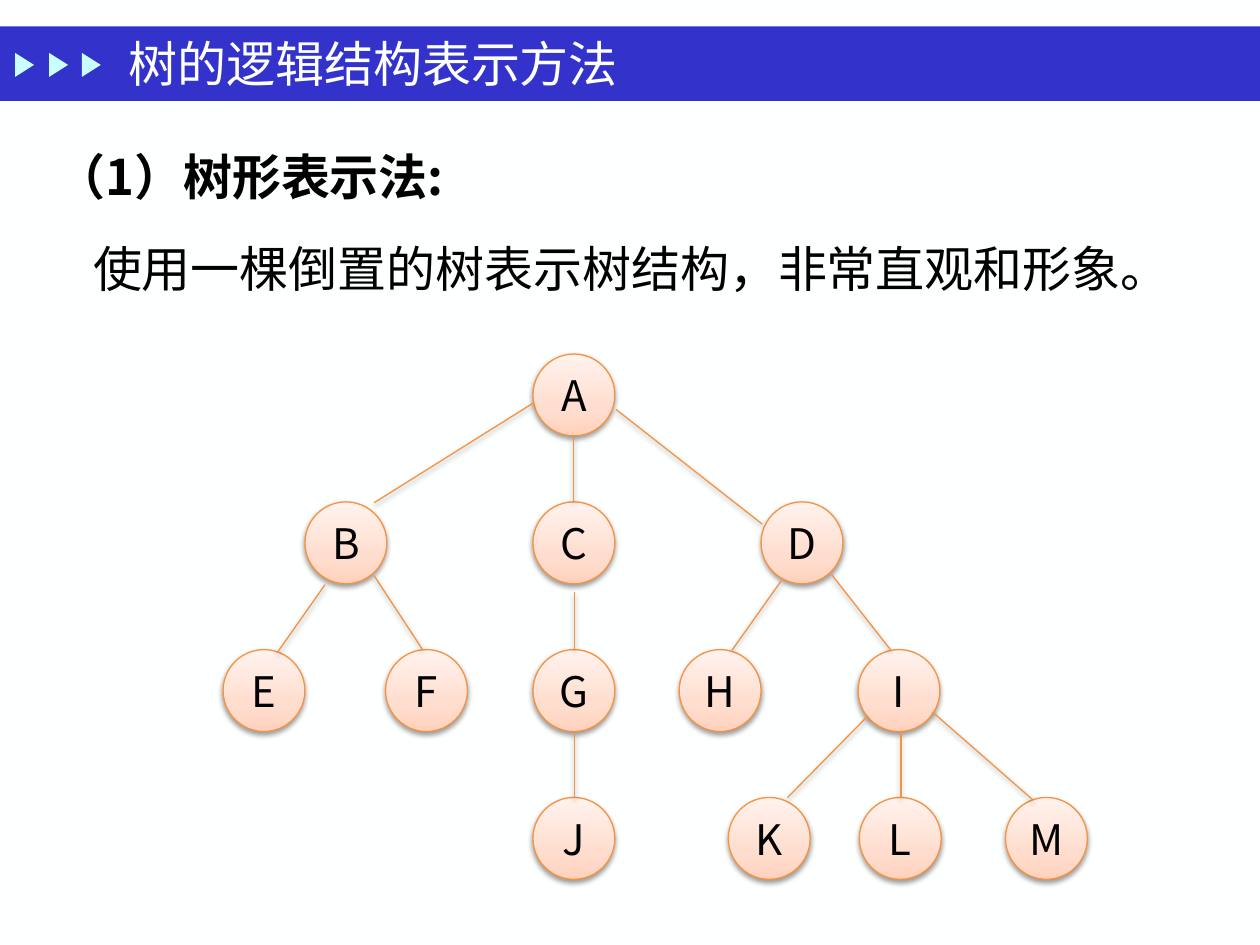
from copy import deepcopy

from lxml import etree
from pptx import Presentation
from pptx import util as u
from pptx.dml.color import RGBColor
from pptx.enum import shapes, text
from pptx.oxml import ns

COLORS = {
    "page": "FEFFFF", "bar": "3333CC", "arrow": "CBFFFF", "ink": "000000",
    "line": "F69240", "deep": "FFD2BD", "mid": "FFDED0", "pale": "FFF2ED",
}
FONT = "Noto Sans CJK SC"


def add_span(para, words, size, color, font=FONT, bold=False):
    span = para.add_run()
    span.text = words
    span.font.size = u.Pt(size)
    span.font.bold = bold
    span.font.name = font
    span.font.color.rgb = RGBColor.from_string(COLORS[color])
    east = etree.SubElement(span.font._element, ns.qn("a:ea"))
    east.set("typeface", FONT)


def outline_and_shadow(item):
    item.line.color.rgb = RGBColor.from_string(COLORS["line"])
    item.line.width = u.Pt(0.75)
    item.element.spPr.append(etree.fromstring(
        f'<a:effectLst {ns.nsdecls("a")}>'
        '<a:outerShdw blurRad="39370" dist="20320" dir="5400000" rotWithShape="0">'
        '<a:srgbClr val="000000"><a:alpha val="38000"/></a:srgbClr>'
        '</a:outerShdw></a:effectLst>'))


deck = Presentation()
deck.slide_width, deck.slide_height = u.Inches(10), u.Inches(7.5)
page = deck.slides.add_slide(deck.slide_layouts[5])
page.background.fill.solid()
page.background.fill.fore_color.rgb = RGBColor.from_string(COLORS["page"])

# Title bar with three arrowheads
bar = page.shapes.add_shape(shapes.MSO_SHAPE.RECTANGLE, 0, u.Inches(0.21),
                            u.Inches(10), u.Inches(0.59))
arrows = [page.shapes.add_shape(shapes.MSO_SHAPE.ISOSCELES_TRIANGLE, u.Inches(left),
                                u.Inches(0.44), u.Inches(0.19), u.Inches(0.15))
          for left in (0.1, 0.37, 0.63)]
for arrow in arrows:
    arrow.rotation = 90
for box, color in [(bar, "bar")] + [(arrow, "arrow") for arrow in arrows]:
    box.fill.solid()
    box.fill.fore_color.rgb = RGBColor.from_string(COLORS[color])
    box.line.fill.background()
    box.shadow.inherit = False

# Title, brought in front of the bar
title = page.shapes.title
title.element.getparent().append(title.element)
title.left, title.top = u.Inches(0.92), u.Inches(0.21)
title.width, title.height = u.Inches(7), u.Inches(0.58)
title.text_frame.auto_size = text.MSO_AUTO_SIZE.NONE
title.text_frame.vertical_anchor = text.MSO_ANCHOR.MIDDLE
para = title.text_frame.paragraphs[0]
para.alignment = text.PP_ALIGN.LEFT
add_span(para, "树的逻辑结构表示方法", 28, "page", font="Times New Roman")

# Heading
box = page.shapes.add_textbox(u.Inches(0.35), u.Inches(1.07), u.Inches(9.37), u.Inches(0.58))
box.text_frame.word_wrap = True
para = box.text_frame.paragraphs[0]
para.alignment = text.PP_ALIGN.JUSTIFY
para.line_spacing = 1.1
para.space_before = u.Pt(14)
add_span(para, "（1）树形表示法:", 28, "ink", bold=True)

# Tree nodes: name -> left edge, level
SIZE = 0.65
NODES = {
    "A": (4.23, 0),
    "B": (2.42, 1), "C": (4.23, 1), "D": (6.04, 1),
    "E": (1.77, 2), "F": (3.06, 2), "G": (4.23, 2), "H": (5.39, 2), "I": (6.81, 2),
    "J": (4.23, 3), "K": (5.78, 3), "L": (6.82, 3), "M": (7.98, 3),
}
tree = page.shapes.add_group_shape()
for name, (left, level) in NODES.items():
    node = tree.shapes.add_shape(shapes.MSO_SHAPE.OVAL, u.Inches(left),
                                 u.Inches(2.81 + 1.173 * level),
                                 u.Inches(SIZE), u.Inches(SIZE))
    node.fill.gradient()
    node.fill.gradient_angle = 90
    first = node.fill.gradient_stops[0]._gs
    first.addnext(deepcopy(first))
    for stop, (place, color) in zip(node.fill.gradient_stops,
                                    [(0, "deep"), (0.35, "mid"), (1, "pale")]):
        stop.position = place
        stop.color.rgb = RGBColor.from_string(COLORS[color])
    outline_and_shadow(node)
    node.text_frame.word_wrap = False
    node.text_frame.vertical_anchor = text.MSO_ANCHOR.MIDDLE
    para = node.text_frame.paragraphs[0]
    para.alignment = text.PP_ALIGN.CENTER
    add_span(para, name, 24, "ink")

# Tree edges: from x, y to x, y
EDGES = [
    (4.23, 3.2, 2.97, 3.99), (4.55, 3.46, 4.55, 3.98), (4.89, 3.25, 6.05, 4.16),  # A
    (2.58, 4.64, 2.2, 5.18), (2.97, 4.57, 3.35, 5.15),  # B
    (4.56, 4.7, 4.56, 5.15), (4.56, 5.81, 4.56, 6.33),  # C, G
    (6.2, 4.61, 5.81, 5.16), (6.6, 4.56, 7.07, 5.16),  # D
    (6.89, 5.68, 6.25, 6.33), (7.15, 5.81, 7.15, 6.33), (7.4, 5.65, 8.2, 6.35),  # I
]
for edge in EDGES:
    line = tree.shapes.add_connector(shapes.MSO_CONNECTOR.STRAIGHT, *map(u.Inches, edge))
    outline_and_shadow(line)

# Explanation
box = page.shapes.add_textbox(u.Inches(0.59), u.Inches(1.84), u.Inches(8.84), u.Inches(0.57))
box.text_frame.word_wrap = False
para = box.text_frame.paragraphs[0]
para.alignment = text.PP_ALIGN.CENTER
add_span(para, "使用一棵倒置的树表示树结构，非常直观和形象。", 28, "ink")

deck.save("out.pptx")
